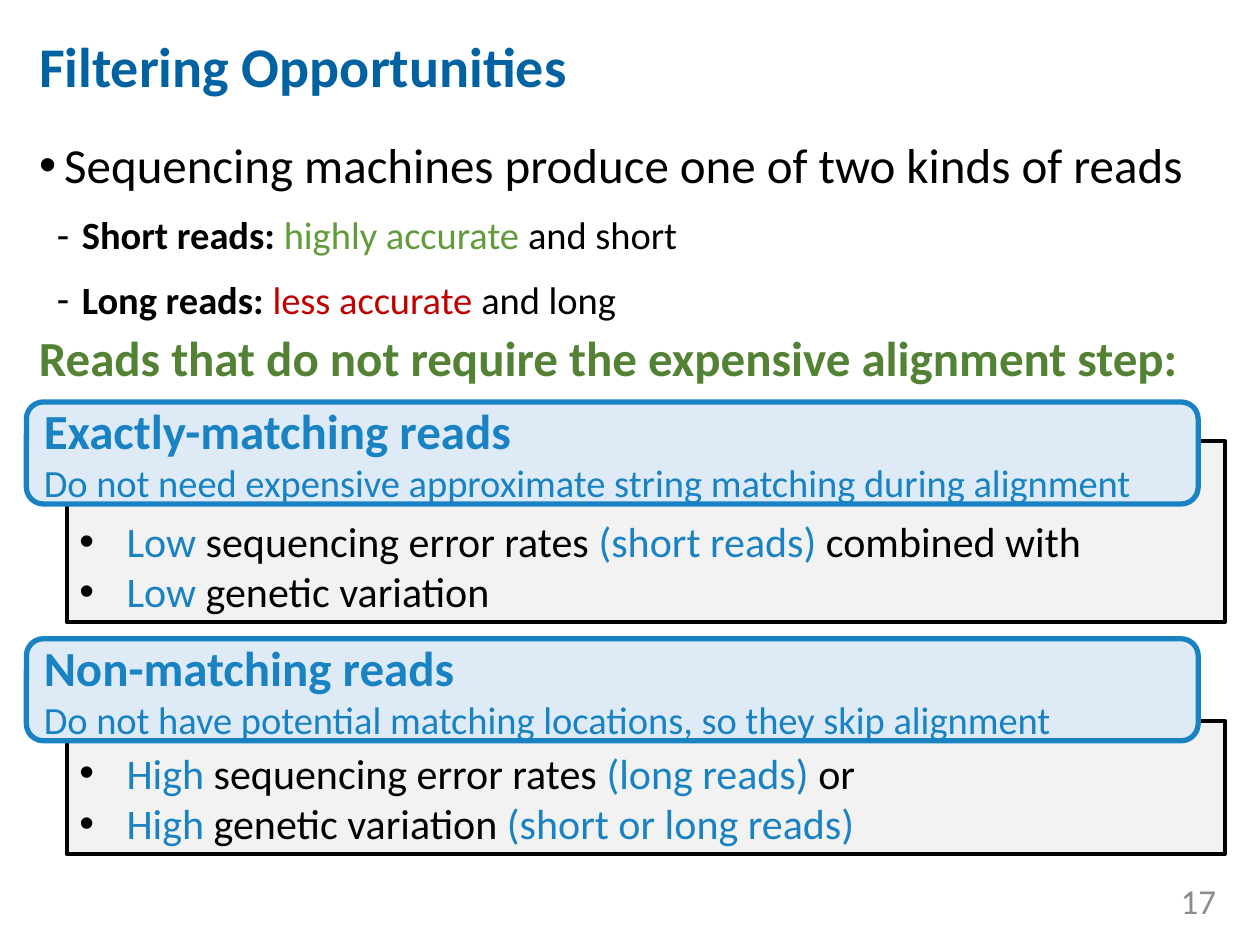
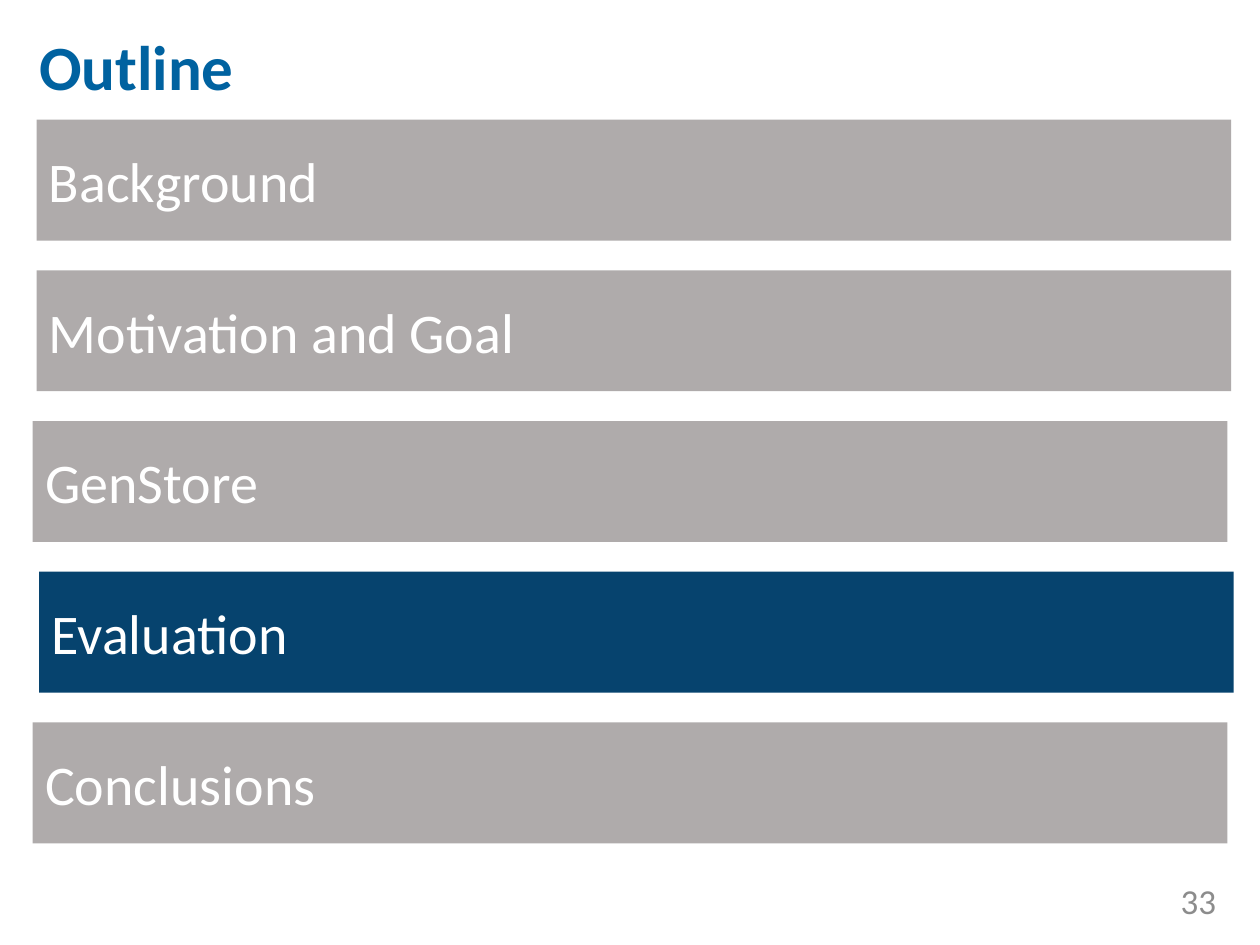
from lxml.etree import SubElement
from pptx import Presentation
from pptx.dml.color import RGBColor
from pptx.enum.shapes import MSO_SHAPE
from pptx.enum.text import MSO_ANCHOR, MSO_AUTO_SIZE, PP_ALIGN
from pptx.oxml.ns import qn
from pptx.util import Pt

FONT = "Calibri"
BLACK, WHITE = "000000", "FFFFFF"
TITLE_BLUE, BLUE, PALE_BLUE, NAVY = "0062A0", "1982C3", "DEEBF7", "06436E"
GRAY, PALE_GRAY, NUMBER_GRAY = "AFABAB", "F2F2F2", "8C8C8C"
GREEN, DARK_GREEN, RED = "629B3C", "548235", "C00000"
TITLE_ONLY, TITLE_AND_BODY = 5, 1


def rgb(color):
    return RGBColor.from_string(color)


def place(shape, left, top, width, height):
    shape.left, shape.top = Pt(left), Pt(top)
    shape.width, shape.height = Pt(width), Pt(height)


def set_bullet(paragraph, symbol, indent, hanging):
    properties = paragraph._p.get_or_add_pPr()
    properties.set("marL", str(Pt(indent)))
    properties.set("indent", str(-Pt(hanging)))
    color = SubElement(properties, qn("a:buClr"))
    SubElement(color, qn("a:srgbClr"), val=BLACK)
    SubElement(properties, qn("a:buFont"), typeface="Arial")
    SubElement(properties, qn("a:buChar"), char=symbol)


class SlideBuilder:
    """Holds the deck, its style and the slide being filled."""

    def __init__(self):
        self.deck = Presentation()
        self.deck.slide_width, self.deck.slide_height = Pt(720), Pt(540)

    def start(self, layout, title, size, number):
        self.page = self.deck.slides.add_slide(self.deck.slide_layouts[layout])
        heading = self.page.shapes.title
        place(heading, 15.1, 7.2, 692.6, 60.5)
        frame = self.prepare(heading, MSO_ANCHOR.MIDDLE)
        self.add_text(frame, title, size, TITLE_BLUE, bold=True).space_after = Pt(6)
        frame = self.text_box(624.2, 500.4, 77.8, 28.8, MSO_ANCHOR.MIDDLE)
        self.add_text(frame, number, 20, NUMBER_GRAY).alignment = PP_ALIGN.RIGHT

    def prepare(self, shape, anchor):
        frame = shape.text_frame
        frame.word_wrap = True
        frame.auto_size = MSO_AUTO_SIZE.NONE
        frame.vertical_anchor = anchor
        return frame

    def text_box(self, left, top, width, height, anchor=MSO_ANCHOR.TOP):
        box = self.page.shapes.add_textbox(Pt(left), Pt(top), Pt(width), Pt(height))
        return self.prepare(box, anchor)

    def body(self, left, top, width, height):
        box = self.page.placeholders[1]
        place(box, left, top, width, height)
        return self.prepare(box, MSO_ANCHOR.TOP)

    def panel(self, kind, left, top, width, height, fill, line=None,
              weight=0, anchor=MSO_ANCHOR.MIDDLE):
        shape = self.page.shapes.add_shape(kind, Pt(left), Pt(top), Pt(width), Pt(height))
        shape.shadow.inherit = False
        shape.fill.solid()
        shape.fill.fore_color.rgb = rgb(fill)
        if line:
            shape.line.color.rgb = rgb(line)
            shape.line.width = Pt(weight)
        else:
            shape.line.fill.background()
        return self.prepare(shape, anchor)

    def add_text(self, frame, content, size, color=BLACK, bold=False, bullet=None):
        """Add a paragraph; content is a string or (text, color, bold) spans."""
        paragraph = frame.paragraphs[0]
        if paragraph.runs:
            paragraph = frame.add_paragraph()
        if bullet:
            set_bullet(paragraph, *bullet)
        paragraph.alignment = PP_ALIGN.LEFT
        paragraph.font.name, paragraph.font.size = FONT, Pt(size)
        if isinstance(content, str):
            paragraph.font.color.rgb = rgb(color)
            paragraph.font.bold = bold
            paragraph.add_run().text = content
        else:
            for text, span_color, span_bold in content:
                span = paragraph.add_run()
                span.text = text
                span.font.color.rgb = rgb(span_color)
                span.font.bold = span_bold
        return paragraph

    def read_group(self, top, name, reason, panel_top, panel_height, causes):
        """A gray panel of causes with a blue label over its upper edge."""
        frame = self.panel(MSO_SHAPE.RECTANGLE, 38.2, panel_top, 661.7, panel_height,
                           PALE_GRAY, BLACK, 2.25, MSO_ANCHOR.BOTTOM)
        for level, cause, reads, ending in causes:
            spans = [(level, BLUE, False), (cause, BLACK, False),
                     (reads, BLUE, False), (ending, BLACK, False)]
            self.add_text(frame, [span for span in spans if span[0]], 24,
                          bullet=("•", 27, 27))
        frame = self.panel(MSO_SHAPE.ROUNDED_RECTANGLE, 15.1, top, 669.6, 58.3,
                           PALE_BLUE, BLUE, 3)
        self.add_text(frame, name, 28, BLUE, bold=True)
        self.add_text(frame, reason, 22, BLUE)


def add_filtering(builder):
    builder.start(TITLE_AND_BODY, "Filtering Opportunities", 32, "17")
    frame = builder.body(15.1, 77, 698.4, 423.4)
    lead = builder.add_text(frame, "Sequencing machines produce one of two kinds of reads",
                            28, bullet=("•", 14.4, 14.4))
    lead.line_spacing, lead.space_before, lead.space_after = 0.9, Pt(0), Pt(8)
    for name, accuracy, color, length in (
        ("Short reads: ", "highly accurate ", GREEN, "and short"),
        ("Long reads: ", "less accurate ", RED, "and long"),
    ):
        spans = [(name, BLACK, True), (accuracy, color, False), (length, BLACK, False)]
        item = builder.add_text(frame, spans, 22, bullet=("-", 24.5, 14.4))
        item.level = 1
        item.line_spacing, item.space_before, item.space_after = 0.9, Pt(5), Pt(8)

    builder.read_group(
        365, "Non-matching reads",
        "Do not have potential matching locations, so they skip alignment",
        411.8, 76.3,
        [("High", " sequencing error rates ", "(long reads) ", "or"),
         ("High", " genetic variation ", "(short or long reads)", "")])
    builder.read_group(
        229.7, "Exactly-matching reads",
        "Do not need expensive approximate string matching during alignment",
        252, 103.7,
        [("Low", " sequencing error rates ", "(short reads) ", "combined with"),
         ("Low", " genetic variation", "", "")])

    frame = builder.text_box(15.1, 187.2, 707.8, 44.6)
    claim = builder.add_text(frame, "Reads that do not require the expensive alignment step:",
                             28, DARK_GREEN, bold=True)
    claim.line_spacing = 0.9


def add_outline(builder):
    builder.start(TITLE_ONLY, "Outline", 36, "33")
    sections = (("Background", 20.9), ("Motivation and Goal", 20.9),
                ("GenStore", 18.7), ("Evaluation", 22.3), ("Conclusions", 18.7))
    for index, (section, left) in enumerate(sections):
        fill = NAVY if section == "Evaluation" else GRAY
        frame = builder.panel(MSO_SHAPE.RECTANGLE, left, 68.4 + 86.1 * index,
                              682.6, 69.1, fill)
        builder.add_text(frame, section, 32, WHITE)


def main():
    builder = SlideBuilder()
    add_filtering(builder)
    add_outline(builder)
    builder.deck.save("out.pptx")


if __name__ == "__main__":
    main()
